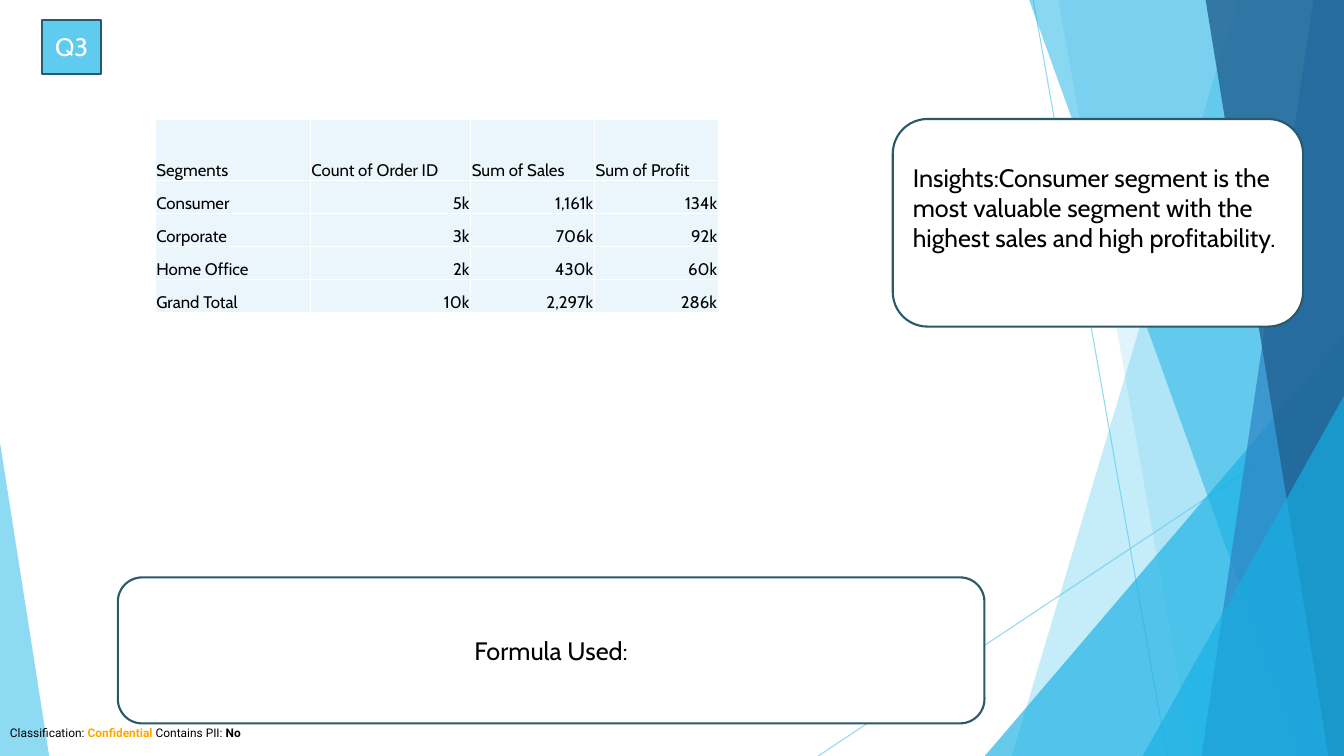
from dataclasses import dataclass

from lxml.etree import SubElement as Sub
from pptx import Presentation
from pptx.dml.color import RGBColor as Rgb
from pptx.enum.shapes import MSO_CONNECTOR as Link, MSO_SHAPE as Kind
from pptx.enum.text import MSO_ANCHOR as Anchor, PP_ALIGN as Align
from pptx.oxml import parse_xml
from pptx.oxml.ns import nsdecls, qn
from pptx.util import Cm, Pt

WIDE, HIGH = 33.87, 19.05


@dataclass(frozen=True)
class Theme:
    sky: str = "5FCBEF"
    aqua: str = "17B0E4"
    blue: str = "2E83C3"
    navy: str = "226292"
    edge: str = "2A5969"
    pale: str = "EAF6FC"
    white: str = "FFFFFF"
    black: str = "000000"
    amber: str = "FFA500"
    font: str = "Cabin"
    small: str = "Roboto"
    body: float = 18
    cell: float = 12
    note: float = 8.5


class Deck:
    def __init__(self, theme):
        self.theme = theme
        self.show = Presentation()
        self.show.slide_width, self.show.slide_height = Cm(WIDE), Cm(HIGH)
        self.slide = self.show.slides.add_slide(self.show.slide_layouts[6])
        self.shapes = self.slide.shapes

    def fade(self, fill, hue, alpha):
        """Set a solid fill or line colour with alpha in percent."""
        fill.solid()
        fill.fore_color.rgb = Rgb.from_string(hue)
        for tag in fill._xPr.iter(qn("a:srgbClr")):
            Sub(tag, qn("a:alpha"), val=str(alpha * 1000))

    def line(self, start, end):
        line = self.shapes.add_connector(Link.STRAIGHT, *map(Cm, start + end))
        line.line.width = Pt(0.75)
        self.fade(line.line.fill, self.theme.sky, 70)
        Sub(line._element.spPr, qn("a:effectLst"))

    def pane(self, shape, hue, alpha):
        """Make a shape a clear sheet with no outline."""
        shape.shadow.inherit = False
        shape.line.fill.background()
        self.fade(shape.fill, hue, alpha)

    def shard(self, top, base, hue, alpha):
        """Draw a sheet from a slanted left side to the right slide edge."""
        form = self.shapes.build_freeform(Cm(top), Cm(-0.02), scale=1.0)
        ends = [(WIDE, -0.02), (WIDE, HIGH), (base, HIGH)]
        form.add_line_segments([(Cm(x), Cm(y)) for x, y in ends], close=True)
        self.pane(form.convert_to_shape(), hue, alpha)

    def wedge(self, left, top, width, tip, hue, alpha):
        """Draw a triangle that stands on the bottom slide edge."""
        spot = map(Cm, (left, top, width, HIGH - top))
        shape = self.shapes.add_shape(Kind.ISOSCELES_TRIANGLE, *spot)
        shape.adjustments[0] = tip
        self.pane(shape, hue, alpha)

    def words(self, frame, runs, size, font, align=Align.LEFT):
        """Fill the first paragraph with (text, colour, bold) runs."""
        para = frame.paragraphs[0]
        para.alignment = align
        for text, hue, bold in runs:
            run = para.add_run()
            run.text = text
            run.font.size, run.font.name, run.font.bold = Pt(size), font, bold
            run.font.color.rgb = Rgb.from_string(hue)

    def note(self, spot, runs):
        frame = self.shapes.add_textbox(*map(Cm, spot)).text_frame
        frame.word_wrap = True
        self.words(frame, runs, self.theme.note, self.theme.small)

    def box(self, kind, spot, text, fill, ink, align=Align.CENTER, foot=0.13):
        look = self.theme
        shape = self.shapes.add_shape(kind, *map(Cm, spot))
        shape.shadow.inherit = False
        shape.fill.solid()
        shape.fill.fore_color.rgb = Rgb.from_string(fill)
        shape.line.color.rgb = Rgb.from_string(look.edge)
        shape.line.width = Pt(1.5)
        frame = shape.text_frame
        frame.word_wrap = True
        frame.vertical_anchor = Anchor.MIDDLE
        frame.margin_bottom = Cm(foot)
        self.words(frame, [(text, ink, False)], look.body, look.font, align)

    def frame(self, cell):
        """Give a cell thin white borders."""
        props = cell._tc.get_or_add_tcPr()
        for spot, side in enumerate("LRTB"):
            props.insert(spot, parse_xml(
                f'<a:ln{side} {nsdecls("a")} w="12700"><a:solidFill>'
                f'<a:srgbClr val="{self.theme.white}"/></a:solidFill></a:ln{side}>'))

    def table(self, left, top, cols, tall, rows):
        look = self.theme
        grid = self.shapes.add_table(len(rows), len(cols), Cm(left), Cm(top),
                                     Cm(sum(cols)), Cm(sum(tall))).table
        grid.first_row = grid.horz_banding = False
        for col, size in zip(grid.columns, cols):
            col.width = Cm(size)
        for r, row in enumerate(rows):
            grid.rows[r].height = Cm(tall[r])
            for c, text in enumerate(row):
                cell = grid.cell(r, c)
                cell.margin_left = cell.margin_right = cell.margin_top = Cm(0.03)
                cell.margin_bottom = 0
                cell.vertical_anchor = Anchor.BOTTOM
                cell.fill.solid()
                cell.fill.fore_color.rgb = Rgb.from_string(look.pale)
                self.frame(cell)
                align = Align.RIGHT if r and c else Align.LEFT
                self.words(cell.text_frame, [(text, look.black, False)],
                           look.cell, look.font, align)


def main():
    look = Theme()
    deck = Deck(look)

    deck.line((26.04, 0), (29.41, HIGH))
    deck.line((WIDE, 10.24), (20.62, HIGH))
    deck.shard(31.19, 25.5, look.sky, 36)
    deck.shard(26.67, 30.05, look.sky, 20)
    deck.wedge(24.82, 8.46, 9.05, 1, look.aqua, 66)
    deck.shard(25.93, 32.79, look.aqua, 50)
    deck.shard(33.1, 30.28, look.blue, 70)
    deck.shard(30.38, 33.48, look.navy, 80)
    deck.wedge(28.8, 9.98, 5.07, 1, look.aqua, 66)
    deck.wedge(0, 11.15, 1.24, 0, look.sky, 70)

    deck.note((0, 18.16, WIDE, 0.61), [
        ("Classification: ", look.black, False),
        ("Confidential", look.amber, True),
        (" Contains PII: ", look.black, False),
        ("No", look.black, True),
    ])
    deck.box(Kind.RECTANGLE, (1.07, 0.51, 1.47, 1.35), "Q3", look.sky, look.white)
    deck.box(Kind.ROUNDED_RECTANGLE, (22.5, 3, 10.34, 5.23),
             "Insights:Consumer segment is the most valuable segment "
             "with the highest sales and high profitability.",
             look.white, look.black, Align.LEFT, foot=0.89)
    deck.box(Kind.ROUNDED_RECTANGLE, (2.97, 14.55, 21.84, 3.68),
             "Formula Used:", look.white, look.black)
    deck.table(3.91, 3, (3.91, 4.04, 3.12, 3.12), [1.55] + [0.83] * 4, [
        ("Segments", "Count of Order ID", "Sum of Sales", "Sum of Profit"),
        ("Consumer", "5k", "1,161k", "134k"),
        ("Corporate", "3k", "706k", "92k"),
        ("Home Office", "2k", "430k", "60k"),
        ("Grand Total", "10k", "2,297k", "286k"),
    ])
    deck.show.save("out.pptx")


if __name__ == "__main__":
    main()
